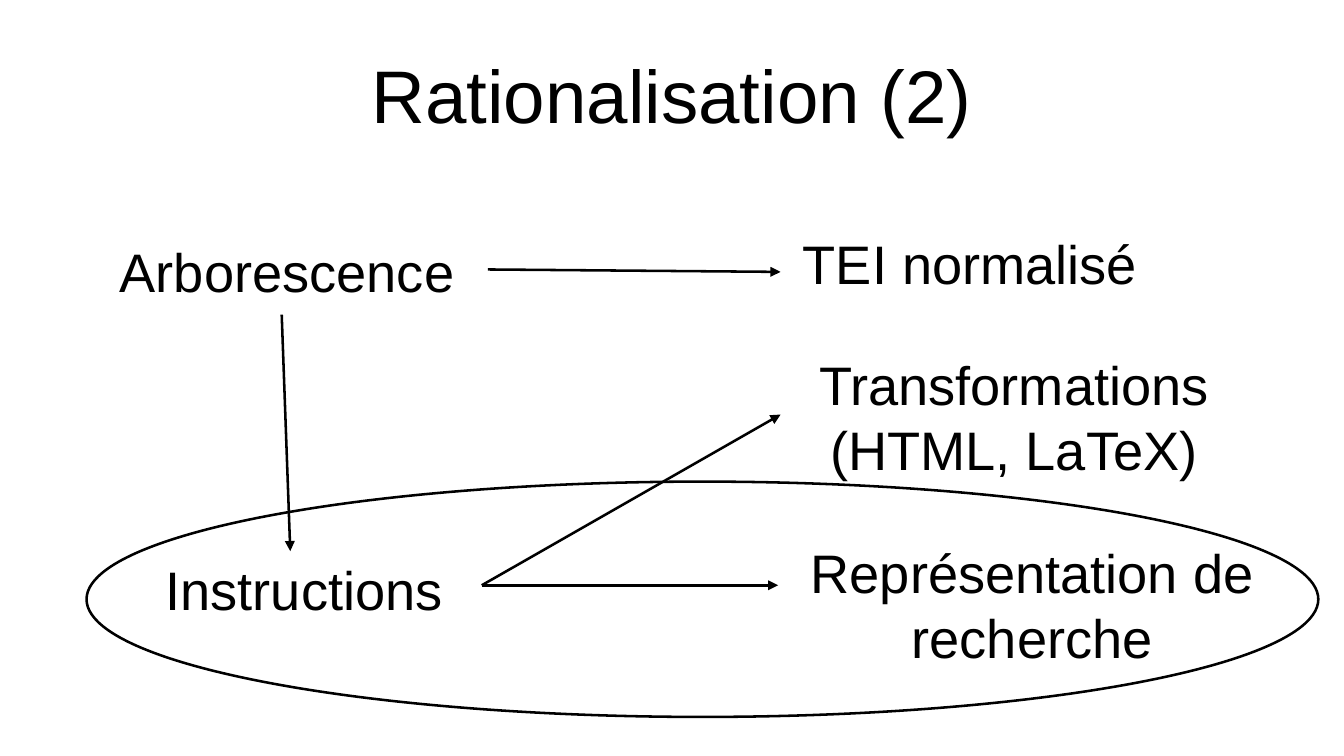
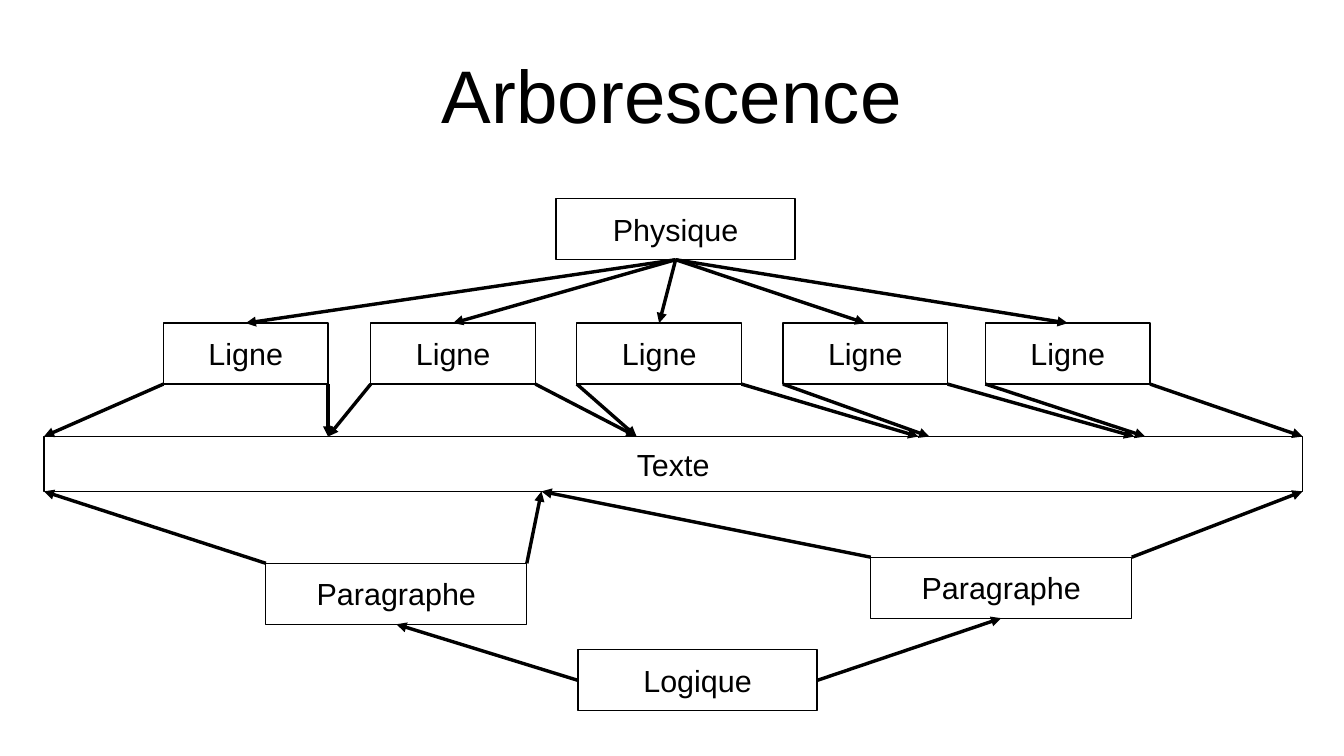
"""Builds two slides: the rationalisation scheme and the text tree."""
from lxml.etree import SubElement
from pptx import Presentation
from pptx.dml.color import RGBColor
from pptx.enum.shapes import MSO_CONNECTOR, MSO_SHAPE
from pptx.enum.text import MSO_ANCHOR, PP_ALIGN
from pptx.oxml.ns import qn
from pptx.util import Inches, Pt

BLACK = RGBColor(0x00, 0x00, 0x00)
FONT = "Arial"
TITLE_SIZE, LABEL_SIZE, NODE_SIZE = 44, 32, 18
THICK, HAIRLINE = 1.5, 0
TOP, LEFT, BOTTOM, RIGHT = range(4)

TITLE_AREA = (0.55, 0.25, 9.92, 1.04)

LABELS = [
    ("Arborescence", (0.63, 1.7, 3.45, 1.05)),
    ("TEI normalisé", (6.23, 1.63, 3.45, 1.05)),
    ("Transformations (HTML, LaTeX)", (6.59, 2.89, 3.45, 1.05)),
    ("Représentation de recherche", (6.38, 4.11, 4.17, 1.7)),
    ("Instructions", (0.4, 4.08, 4.19, 1.5)),
]
SCHEME_ARROWS = [
    ((4, 2.21), (6.4, 2.23)),
    ((3.95, 4.8), (6.4, 3.4)),
    ((3.95, 4.8), (6.38, 4.8)),
    ((2.31, 2.58), (2.38, 4.52)),
]
RESEARCH_ELLIPSE = (0.71, 3.95, 10.1, 1.93)

NODE_HEIGHT = 0.5
PHYSICAL_AREA = (4.56, 1.63, 1.96, NODE_HEIGHT)
LOGICAL_AREA = (4.74, 5.33, 1.96, NODE_HEIGHT)
TEXT_AREA = (0.36, 3.58, 10.32, 0.45)
LINE_TOP, LINE_WIDTH = 2.65, 1.35
LINES = [
    (1.34, (0.36, 2.69)),
    (3.04, (2.69, 5.22)),
    (4.73, (5.22, 7.53)),
    (6.42, (7.62, 9.3)),
    (8.08, (9.39, 10.68)),
]
PARAGRAPH_WIDTH = 2.14
PARAGRAPHS = [
    (2.18, 4.62, LEFT, (0.36, 4.44)),
    (7.14, 4.57, RIGHT, (4.44, 10.68)),
]


def write(shape, text, size):
    frame = shape.text_frame
    frame.word_wrap = True
    frame.vertical_anchor = MSO_ANCHOR.MIDDLE
    para = frame.paragraphs[0]
    para.text = text
    para.alignment = PP_ALIGN.CENTER
    para.font.name = FONT
    para.font.size = Pt(size)
    para.font.color.rgb = BLACK


def add_label(page, text, area, size):
    box = page.shapes.add_textbox(*map(Inches, area))
    frame = box.text_frame
    frame.margin_left = frame.margin_right = 0
    frame.margin_top = frame.margin_bottom = 0
    write(box, text, size)


def add_outline(page, kind, area, width):
    shape = page.shapes.add_shape(kind, *map(Inches, area))
    shape.shadow.inherit = False
    shape.fill.background()
    shape.line.color.rgb = BLACK
    shape.line.width = Pt(width)
    return shape


def add_node(page, text, area):
    node = add_outline(page, MSO_SHAPE.FLOWCHART_PROCESS, area, HAIRLINE)
    write(node, text, NODE_SIZE)
    return node


def add_arrow(page, start, end, width):
    arrow = page.shapes.add_connector(
        MSO_CONNECTOR.STRAIGHT, *map(Inches, (*start, *end)))
    arrow.line.color.rgb = BLACK
    arrow.line.width = Pt(width)
    SubElement(arrow.line._get_or_add_ln(), qn("a:tailEnd"), type="triangle")
    SubElement(arrow._element.spPr, qn("a:effectLst"))
    return arrow


def join(page, source, source_side, target, target_side):
    arrow = add_arrow(page, (0, 0), (0, 0), HAIRLINE)
    arrow.begin_connect(source, source_side)
    arrow.end_connect(target, target_side)


def add_span_arrows(page, left, width, start_y, span, end_y):
    for start_x, end_x in zip((left, left + width), span):
        add_arrow(page, (start_x, start_y), (end_x, end_y), HAIRLINE)


def add_page(deck, title):
    page = deck.slides.add_slide(deck.slide_layouts[6])
    add_label(page, title, TITLE_AREA, TITLE_SIZE)
    return page


def build_scheme(deck):
    page = add_page(deck, "Rationalisation (2)")
    for text, area in LABELS:
        add_label(page, text, area, LABEL_SIZE)
    for start, end in SCHEME_ARROWS:
        add_arrow(page, start, end, THICK)
    add_outline(page, MSO_SHAPE.OVAL, RESEARCH_ELLIPSE, THICK)


def build_tree(deck):
    page = add_page(deck, "Arborescence")
    physical = add_node(page, "Physique", PHYSICAL_AREA)
    add_node(page, "Texte", TEXT_AREA)
    logical = add_node(page, "Logique", LOGICAL_AREA)
    text_top = TEXT_AREA[1]
    text_bottom = text_top + TEXT_AREA[3]
    for left, span in LINES:
        node = add_node(page, "Ligne", (left, LINE_TOP, LINE_WIDTH, NODE_HEIGHT))
        join(page, physical, BOTTOM, node, TOP)
        add_span_arrows(page, left, LINE_WIDTH, LINE_TOP + NODE_HEIGHT, span, text_top)
    for left, top, side, span in PARAGRAPHS:
        node = add_node(page, "Paragraphe", (left, top, PARAGRAPH_WIDTH, NODE_HEIGHT))
        join(page, logical, side, node, BOTTOM)
        add_span_arrows(page, left, PARAGRAPH_WIDTH, top, span, text_bottom)


def main():
    deck = Presentation()
    deck.slide_width = Inches(11.02)
    deck.slide_height = Inches(6.2)
    build_scheme(deck)
    build_tree(deck)
    deck.save("out.pptx")


if __name__ == "__main__":
    main()
